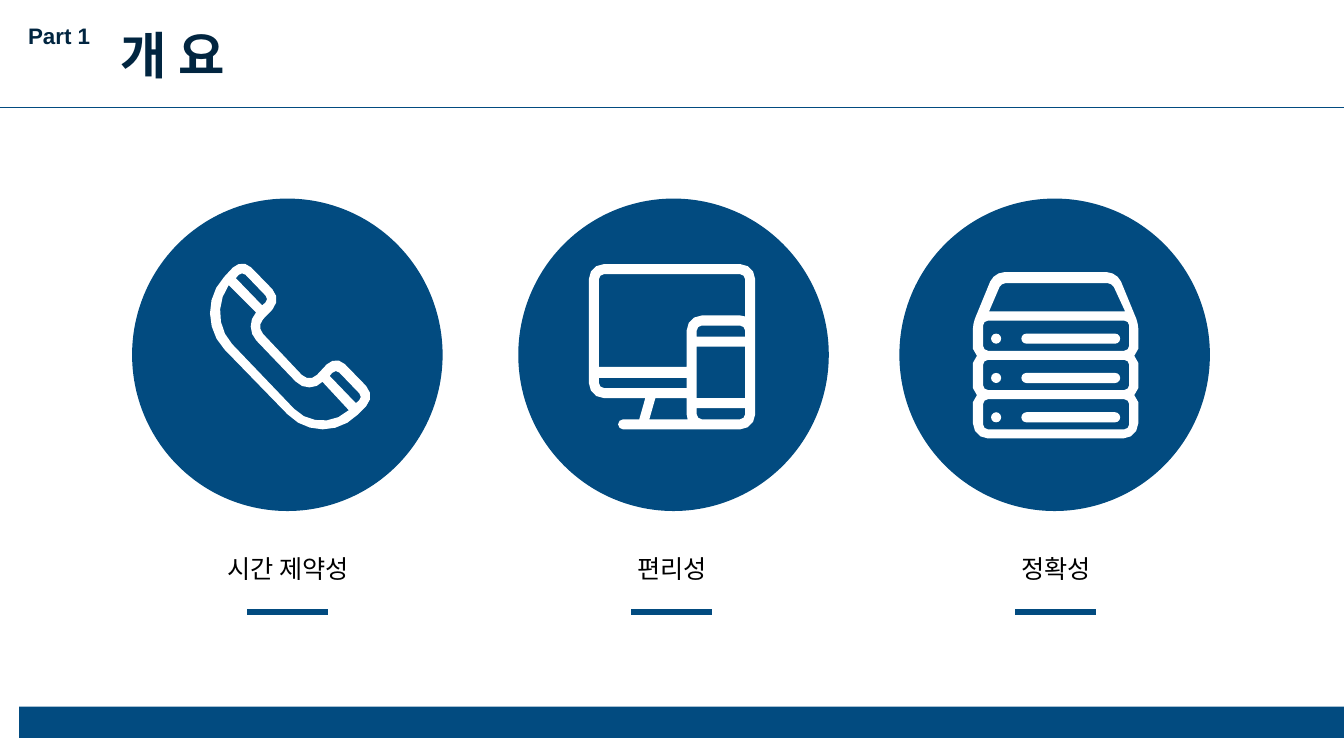
from math import hypot
from lxml.etree import SubElement
from pptx import Presentation
from pptx.dml.color import RGBColor
from pptx.enum.shapes import MSO_CONNECTOR, MSO_SHAPE
from pptx.enum.text import MSO_AUTO_SIZE, PP_ALIGN
from pptx.oxml.ns import qn
from pptx.util import Inches, Pt

NAVY = RGBColor(0x02, 0x4B, 0x80)
INK = RGBColor(0x01, 0x25, 0x40)
BLACK = RGBColor(0, 0, 0)
WHITE = RGBColor(0xFF, 0xFF, 0xFF)
LATIN, KOREAN = "Arial", "Noto Sans CJK KR"
COLUMNS, ROWS = 13.33, 7.5


def rounded(corners):
    """Trace a closed polygon of (column, row[, rounding]) corners."""
    outline = []
    for i, (x, y, *rounding) in enumerate(corners):
        if not any(rounding):
            outline.append((x, y))
            continue
        ends = []
        for nx, ny, *_ in (corners[i - 1], corners[(i + 1) % len(corners)]):
            share = rounding[0] / hypot(nx - x, ny - y)
            ends.append((x + (nx - x) * share, y + (ny - y) * share))
        (ax, ay), (bx, by) = ends
        steps = 2 + round(8 * rounding[0])
        for step in range(steps + 1):
            t = step / steps
            u = 1 - t
            start = u**3 + 1.35 * u * u * t
            end = t**3 + 1.35 * u * t * t
            bend = 1 - start - end
            outline.append((start * ax + bend * x + end * bx,
                            start * ay + bend * y + end * by))
    return outline


def box(left, top, right, bottom, upper=0, lower=0):
    """Corners of a box with rounded upper and lower ends."""
    return [(left, top, upper), (right, top, upper),
            (right, bottom, lower), (left, bottom, lower)]


def shifted(corners, dx, dy):
    return [(x + dx, y + dy, *rounding) for x, y, *rounding in corners]


class SlidePainter:
    def __init__(self, deck):
        self.slide = deck.slides.add_slide(deck.slide_layouts[6])
        self.column = deck.slide_width / COLUMNS
        self.row = deck.slide_height / ROWS

    def place(self, left, top, width, height):
        return (round(left * self.column), round(top * self.row),
                round(width * self.column), round(height * self.row))

    def paint(self, shape, color):
        shape.shadow.inherit = False
        shape.fill.solid()
        shape.fill.fore_color.rgb = color
        shape.line.fill.background()

    def block(self, kind, area, color):
        shape = self.slide.shapes.add_shape(kind, *self.place(*area))
        self.paint(shape, color)
        return shape

    def rule(self, left, right, row, weight):
        x, y, width, _ = self.place(left, row, right - left, 0)
        line = self.slide.shapes.add_connector(
            MSO_CONNECTOR.STRAIGHT, x, y, x + width, y)
        line.line.color.rgb = NAVY
        line.line.width = Pt(weight)
        SubElement(line._element.spPr, qn("a:effectLst"))

    def text(self, words, area, size, color, font, bold=False, align=PP_ALIGN.LEFT):
        frame = self.slide.shapes.add_textbox(*self.place(*area)).text_frame
        frame.word_wrap = True
        frame.auto_size = MSO_AUTO_SIZE.SHAPE_TO_FIT_TEXT
        frame.text = words
        paragraph = frame.paragraphs[0]
        paragraph.alignment = align
        run = paragraph.runs[0]
        run.font.size, run.font.bold, run.font.name = Pt(size), bold, font
        run.font.color.rgb = color
        SubElement(run._r.get_or_add_rPr(), qn("a:ea"), typeface=font)

    def icon(self, contours):
        """Draw one white outline; inner contours become holes."""
        pen = None
        for corners in contours:
            points = [(round(x * 1000), round(y * 1000)) for x, y in rounded(corners)]
            if pen is None:
                pen = self.slide.shapes.build_freeform(
                    *points[0], scale=(self.column / 1000, self.row / 1000))
            else:
                pen.move_to(*points[0])
            pen.add_line_segments(points[1:], close=True)
        self.paint(pen.convert_to_shape(), WHITE)


def draw_telephone(painter):
    outer = [(1.88, 3.11, .5), (3.2, 4.47, .5), (3.73, 3.93, .14), (3.33, 3.52, .13),
             (3.07, 3.8, .11), (2.54, 3.24, .1), (2.8, 2.97, .14), (2.4, 2.56, .13)]
    handle = [(2.27, 2.83), (2.54, 3.1), (2.41, 3.24, .19), (3.07, 3.93, .2),
              (3.2, 3.79), (3.46, 4.07), (3.18, 4.33, .38), (2.04, 3.14, .38)]
    earpiece = [(2.34, 2.76), (2.4, 2.69, .05), (2.67, 2.97, .05), (2.6, 3.03)]
    painter.icon([outer, handle, earpiece, shifted(earpiece, .93, .97)])


def draw_devices(painter):
    outer = [(5.84, 2.62, .15), (7.49, 2.62, .15), (7.49, 4.26, .15), (6.13, 4.26, .05),
             (6.13, 4.16, .05), (6.34, 4.16), (6.4, 3.95), (5.84, 3.95, .15)]
    screen = [(5.94, 2.72, .05), (7.39, 2.72, .05), (7.39, 3.14), (7.34, 3.13),
              (6.81, 3.13, .15), (6.81, 3.64), (5.94, 3.64)]
    chin = [(5.94, 3.75), (6.81, 3.75), (6.81, 3.85), (5.94, 3.85, .05)]
    stand = [(6.81, 3.95), (6.81, 4.11), (6.82, 4.16), (6.44, 4.16), (6.5, 3.95)]
    painter.icon([outer, screen, chin, stand,
                  box(6.91, 3.23, 7.39, 3.34, upper=.05),
                  box(6.91, 3.44, 7.39, 3.95),
                  box(6.91, 4.05, 7.39, 4.16, lower=.05)])


def draw_servers(painter):
    tiers = [.39 * tier for tier in range(3)]
    right_side = [(11.08, 2.7, .1), (11.29, 3.21, .05)]
    for drop in tiers[:2]:
        right_side += [(11.29, 3.46 + drop), (11.25, 3.53 + drop), (11.29, 3.6 + drop)]
    right_side.append((11.29, 4.35, .15))
    left_side = [(20.94 - x, y, *rounding) for x, y, *rounding in reversed(right_side)]
    lid = [(9.93, 2.81, .04), (11.03, 2.81, .04), (11.16, 3.09), (9.81, 3.09)]
    painter.icon([right_side + left_side, lid]
                 + [box(9.75, 3.18 + drop, 11.2, 3.48 + drop, .05, .05) for drop in tiers])
    for drop in tiers:
        slot = painter.block(MSO_SHAPE.ROUNDED_RECTANGLE, (10.13, 3.31 + drop, .98, .1), WHITE)
        slot.adjustments[0] = .5
        painter.block(MSO_SHAPE.OVAL, (9.83, 3.31 + drop, .1, .1), WHITE)


def main():
    deck = Presentation()
    deck.slide_width, deck.slide_height = Inches(COLUMNS), Inches(ROWS)
    painter = SlidePainter(deck)

    # Footer band and header
    painter.block(MSO_SHAPE.RECTANGLE, (.19, 7.01, 13.14, .31), NAVY)
    painter.rule(0, COLUMNS, 1.07, .5)
    painter.text("Part 1", (.18, .17, .92, .37), 16, INK, LATIN, bold=True)
    painter.text("개 요", (1.1, .19, 4.12, .71), 36, INK, KOREAN, bold=True)

    # Three themes: disc, icon, label and underline
    themes = [("시간 제약성", 1.31, draw_telephone),
              ("편리성", 5.14, draw_devices),
              ("정확성", 8.92, draw_servers)]
    for number, (theme, disc_left, draw_icon) in enumerate(themes):
        label_left = 1.71 + 3.81 * number
        painter.block(MSO_SHAPE.OVAL, (disc_left, 1.97, 3.08, 3.1), NAVY)
        draw_icon(painter)
        painter.text(theme, (label_left, 5.44, 2.29, .4), 18, BLACK, KOREAN,
                     align=PP_ALIGN.CENTER)
        painter.rule(label_left + .74, label_left + 1.54, 6.07, 4.5)

    deck.save("out.pptx")


if __name__ == "__main__":
    main()
